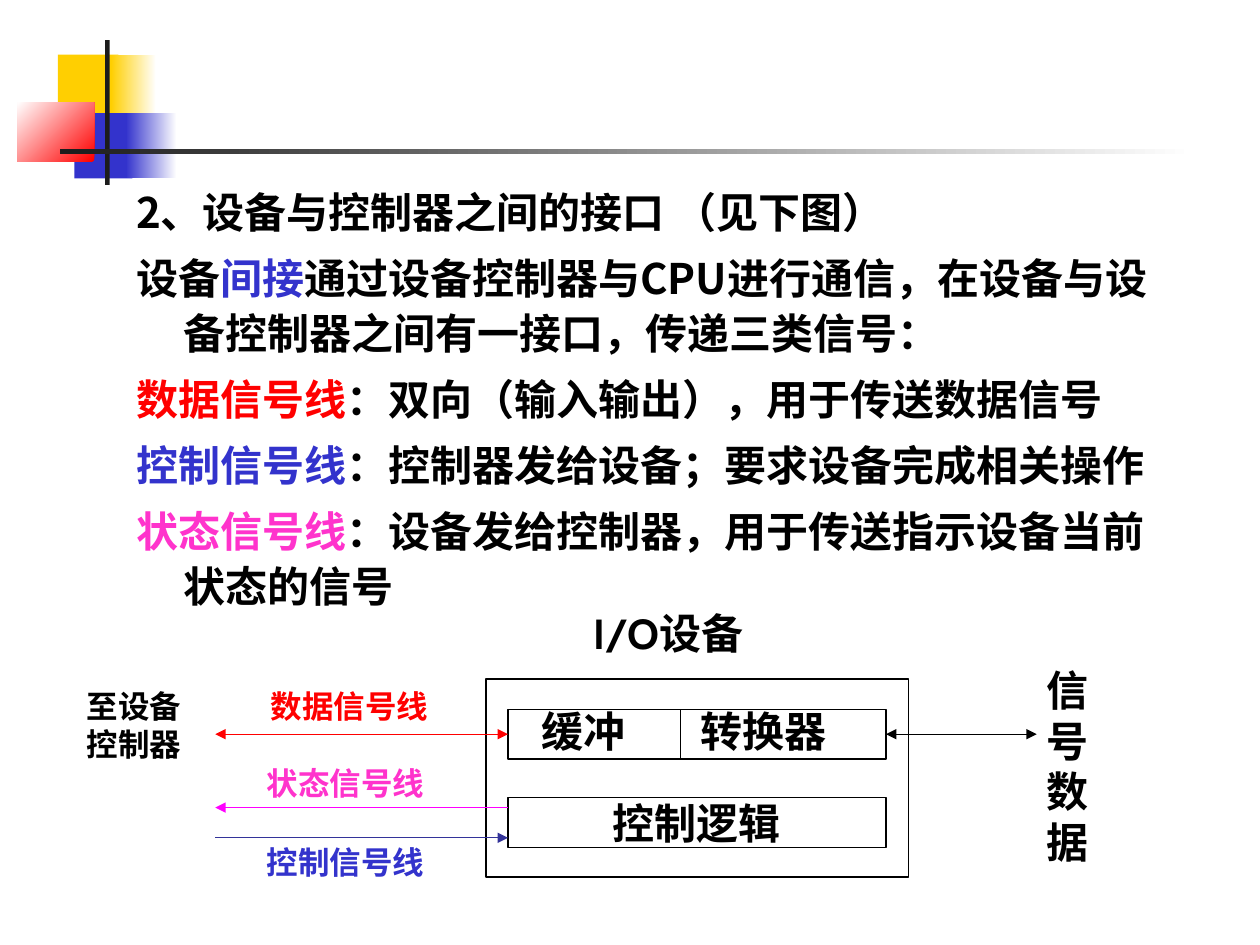
"""Build the slide on the interface between a device and its controller."""
import pptx
import pptx.dml.color
import pptx.enum.dml
import pptx.enum.shapes
import pptx.enum.text
import pptx.oxml.ns
import pptx.util
from lxml import etree

Cm = pptx.util.Cm
Pt = pptx.util.Pt
RGBColor = pptx.dml.color.RGBColor
qn = pptx.oxml.ns.qn
RECTANGLE = pptx.enum.shapes.MSO_SHAPE.RECTANGLE
STRAIGHT = pptx.enum.shapes.MSO_CONNECTOR.STRAIGHT
ALIGN = pptx.enum.text.PP_ALIGN
ANCHOR = pptx.enum.text.MSO_ANCHOR
AUTO_SIZE = pptx.enum.text.MSO_AUTO_SIZE

BLACK = RGBColor(0x00, 0x00, 0x00)
WHITE = RGBColor(0xFF, 0xFF, 0xFF)
CHARCOAL = RGBColor(0x1C, 0x1C, 0x1C)
YELLOW = RGBColor(0xFF, 0xCF, 0x01)
BLUE = RGBColor(0x33, 0x33, 0xCC)
NAVY = RGBColor(0x33, 0x33, 0x99)
RED = RGBColor(0xFF, 0x00, 0x00)
PINK = RGBColor(0xFF, 0x33, 0xCC)
MAGENTA = RGBColor(0xFF, 0x00, 0xFF)


class SlideBuilder:
    """Hold the slide and its text and line style."""

    body_font = "Noto Sans CJK SC"
    label_font = "Cabin"
    line_width = Pt(0.75)

    def __init__(self, slide):
        self.slide = slide

    def style_run(self, run, size, color, font):
        run.font.size = Pt(size)
        run.font.bold = True
        run.font.name = font
        run.font.color.rgb = color
        east_asian = etree.SubElement(run.font._element, qn("a:ea"))
        east_asian.set("typeface", self.body_font)

    def fill_text(self, frame, text, size, color, align=ALIGN.LEFT):
        frame.text = text
        for paragraph in frame.paragraphs:
            paragraph.alignment = align
            for run in paragraph.runs:
                self.style_run(run, size, color, self.label_font)

    def rectangle(self, left, top, width, height):
        shape = self.slide.shapes.add_shape(
            RECTANGLE, Cm(left), Cm(top), Cm(width), Cm(height))
        shape.shadow.inherit = False
        return shape

    def ornament(self, left, top, width, height, color):
        block = self.rectangle(left, top, width, height)
        block.fill.solid()
        block.fill.fore_color.rgb = color
        block.line.fill.background()

    def fade(self, left, top, width, height, colors, angle=180):
        block = self.rectangle(left, top, width, height)
        block.line.fill.background()
        block.fill.gradient()
        block.fill.gradient_angle = angle
        for stop, color in zip(block.fill.gradient_stops, colors):
            stop.color.rgb = color

    def box(self, left, top, width, height, text=""):
        outline = self.rectangle(left, top, width, height)
        outline.fill.background()
        outline.line.color.rgb = BLACK
        outline.line.width = self.line_width
        if text:
            frame = outline.text_frame
            frame.word_wrap = False
            frame.vertical_anchor = ANCHOR.MIDDLE
            self.fill_text(frame, text, 24, BLACK, ALIGN.CENTER)
        return outline

    def label(self, left, top, width, height, text, size=24, color=BLACK):
        frame = self.slide.shapes.add_textbox(
            Cm(left), Cm(top), Cm(width), Cm(height)).text_frame
        frame.word_wrap = False
        frame.auto_size = AUTO_SIZE.SHAPE_TO_FIT_TEXT
        self.fill_text(frame, text, size, color)

    def line(self, start, end, color, arrows=()):
        connector = self.slide.shapes.add_connector(
            STRAIGHT, *(Cm(value) for value in (*start, *end)))
        connector.line.color.rgb = color
        connector.line.width = self.line_width
        stroke = connector.line._get_or_add_ln()
        for arrow in arrows:
            etree.SubElement(stroke, qn(f"a:{arrow}")).set("type", "triangle")
        etree.SubElement(connector._element.spPr, qn("a:effectLst"))
        return connector

    def body(self, left, top, width, height, paragraphs):
        placeholder = self.slide.placeholders[1]
        placeholder.left, placeholder.top = Cm(left), Cm(top)
        placeholder.width, placeholder.height = Cm(width), Cm(height)
        frame = placeholder.text_frame
        frame.word_wrap = True
        frame.auto_size = AUTO_SIZE.NONE
        for index, pieces in enumerate(paragraphs):
            paragraph = frame.add_paragraph() if index else frame.paragraphs[0]
            properties = paragraph._p.get_or_add_pPr()
            properties.set("marL", str(Cm(0.95)))
            properties.set("indent", str(-Cm(0.95)))
            etree.SubElement(properties, qn("a:buNone"))
            paragraph.alignment = ALIGN.LEFT
            paragraph.line_spacing = 1.1
            paragraph.space_before = Pt(6 if index else 0)
            for text, color in pieces:
                run = paragraph.add_run()
                run.text = text
                self.style_run(run, 24, color, self.body_font)


def main():
    deck = pptx.Presentation()
    deck.slide_width, deck.slide_height = Cm(25.4), Cm(19.05)
    slide = deck.slides.add_slide(deck.slide_layouts[1])
    title = slide.shapes.title._element
    title.getparent().remove(title)
    builder = SlideBuilder(slide)

    builder.ornament(1.17, 1.1, 1.22, 1.32, YELLOW)
    builder.fade(2.24, 1.1, 0.91, 1.32, (WHITE, YELLOW))
    builder.ornament(1.5, 2.28, 1.17, 1.32, BLUE)
    builder.fade(2.54, 2.28, 1.02, 1.32, (WHITE, BLUE))
    builder.fade(0.35, 2.07, 1.55, 1.18, (RED, WHITE), 135)
    builder.ornament(2.12, 0.81, 0.09, 2.92, CHARCOAL)
    builder.fade(1.22, 3.01, 22.86, 0.09, (WHITE, CHARCOAL))

    builder.body(2.49, 3.53, 21.59, 13.97, [
        [("2、设备与控制器之间的接口 （见下图）", BLACK)],
        [("设备", BLACK), ("间接", BLUE),
         ("通过设备控制器与CPU进行通信，在设备与设备控制器之间有一接口，传递三类信号：", BLACK)],
        [("数据信号线", RED), ("：双向（输入输出），用于传送数据信号", BLACK)],
        [("控制信号线", BLUE), ("：控制器发给设备；要求设备完成相关操作", BLACK)],
        [("状态信号线", PINK), ("：设备发给控制器，用于传送指示设备当前状态的信号", BLACK)],
    ])

    builder.label(11.71, 12.12, 3.76, 1.27, "I/O设备")
    builder.box(9.8, 13.69, 8.51, 3.99)
    builder.box(10.24, 16.08, 7.62, 1, "控制逻辑")
    converter = builder.box(10.24, 14.3, 7.62, 1)
    builder.line((13.72, 14.3), (13.72, 15.3), BLACK)
    builder.label(10.67, 14.1, 2.41, 1.27, "缓冲")
    builder.label(13.87, 14.1, 3.05, 1.27, "转换器")

    both_ends = ("headEnd", "tailEnd")
    outside = builder.line((17.86, 14.8), (20.9, 14.8), BLACK, both_ends)
    outside.begin_connect(converter, 3)
    data = builder.line((4.34, 14.8), (10.24, 14.8), RED, both_ends)
    data.end_connect(converter, 1)
    builder.line((4.34, 16.28), (10.24, 16.28), MAGENTA, ("headEnd",))
    builder.line((4.34, 16.89), (10.24, 16.89), NAVY, ("tailEnd",))

    builder.label(20.85, 13.28, 2.18, 2.29, "信号\n数据")
    builder.label(5.21, 13.72, 3.68, 1.02, "数据信号线", 18, RED)
    builder.label(5.13, 15.27, 3.68, 1.02, "状态信号线", 18, PINK)
    builder.label(5.13, 16.87, 3.68, 1.02, "控制信号线", 18, BLUE)
    builder.label(1.5, 13.72, 2.41, 1.78, "至设备\n控制器", 18)
    deck.save("out.pptx")


if __name__ == "__main__":
    main()
